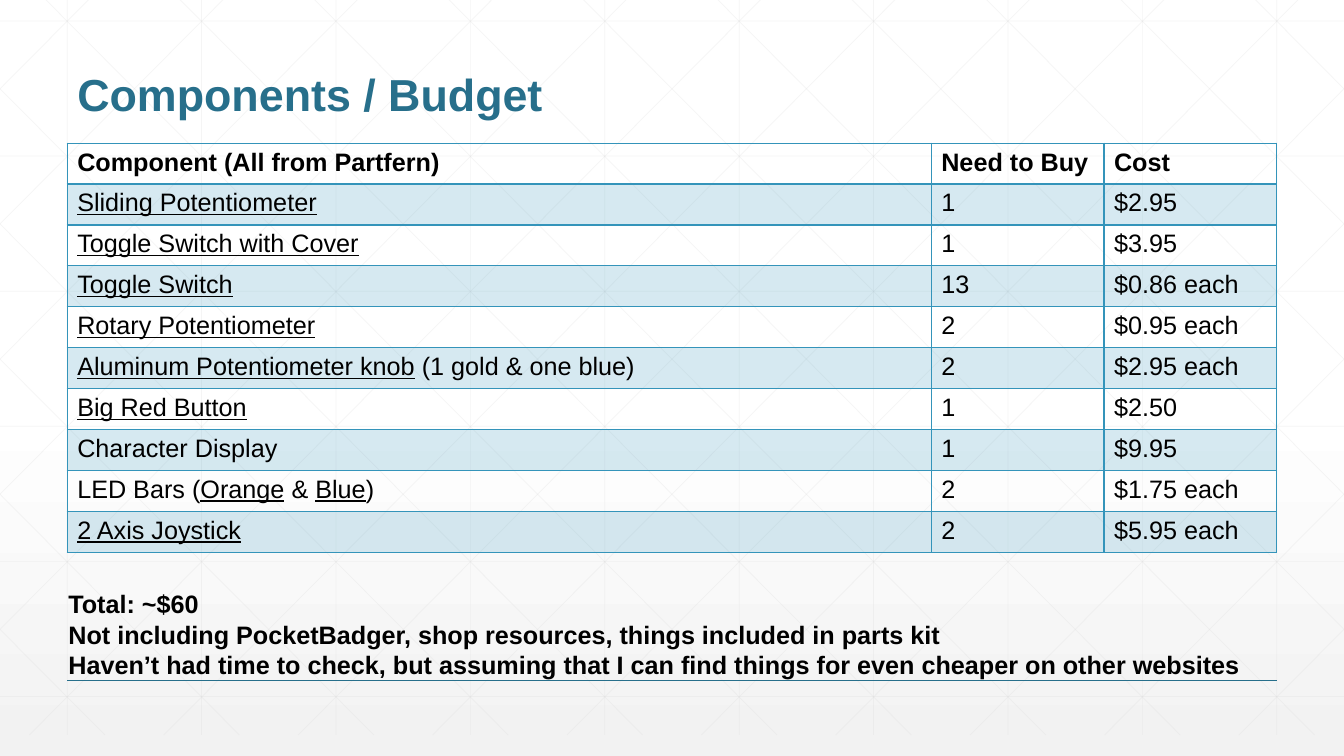
"""Build the components and budget slide."""
from copy import deepcopy

from lxml.etree import SubElement
from pptx import Presentation
from pptx.dml.color import RGBColor
from pptx.enum.shapes import MSO_CONNECTOR
from pptx.enum.text import MSO_ANCHOR, MSO_AUTO_SIZE, PP_ALIGN
from pptx.oxml.ns import qn
from pptx.util import Pt

HEADING = "Components / Budget"
HEADER = ("Component (All from Partfern)", "Need to Buy", "Cost")
# Underscores enclose underlined words.
COMPONENTS = [
    ("_Sliding Potentiometer_", "1", "$2.95"),
    ("_Toggle Switch with Cover_", "1", "$3.95"),
    ("_Toggle Switch_", "13", "$0.86 each"),
    ("_Rotary Potentiometer_", "2", "$0.95 each"),
    ("_Aluminum Potentiometer knob_ (1 gold & one blue)", "2", "$2.95 each"),
    ("_Big Red Button_", "1", "$2.50"),
    ("Character Display", "1", "$9.95"),
    ("LED Bars (_Orange_ & _Blue_)", "2", "$1.75 each"),
    ("_2 Axis Joystick_", "2", "$5.95 each"),
]
REMARKS = [
    "Total: ~$60",
    "Not including PocketBadger, shop resources, things included in parts kit",
    "Haven’t had time to check, but assuming that I can find things "
    "for even cheaper on other websites",
]

FONT = "Arial"
BLACK = RGBColor(0x00, 0x00, 0x00)
WHITE = RGBColor(0xFF, 0xFF, 0xFF)
PALE_GRAY = RGBColor(0xF2, 0xF2, 0xF2)
GRID_GRAY = RGBColor(0xD9, 0xD9, 0xD9)
TEAL = RGBColor(0x27, 0x6F, 0x8B)
BLUE = RGBColor(0x34, 0x94, 0xBA)

WIDTH, HEIGHT = 960, 540
MARGIN = 48
CONTENT_WIDTH = WIDTH - 2 * MARGIN
GRID_TOP, GRID_BOTTOM = -15, 525
GRID_STEP, GRID_ROW_STEP = 96, 96.5
DIAGONAL_START, DIAGONAL_RUN = 18, 537
COLUMN_WIDTHS = (617.2, 123.4, 123.4)
ROW_HEIGHT = 29.25


def set_alpha(properties, percent):
    for color in properties.iter(qn("a:srgbClr")):
        SubElement(color, qn("a:alpha"), val=str(percent * 1000))


def add_line(shapes, start, end, color, weight):
    line = shapes.add_connector(MSO_CONNECTOR.STRAIGHT, *map(Pt, start + end))
    line.line.color.rgb = color
    line.line.width = Pt(weight)
    SubElement(line.element.spPr, qn("a:effectLst"))
    return line


def style_font(paragraph, size, color, bold):
    font = paragraph.font
    font.name, font.size, font.bold = FONT, Pt(size), bold
    font.color.rgb = color


def grid_lines():
    for column in range(10):
        x = MARGIN + column * GRID_STEP
        yield (x, GRID_TOP), (x, GRID_BOTTOM)
    for row in range(6):
        y = -GRID_TOP + row * GRID_ROW_STEP
        yield (0, y), (WIDTH, y)
    slope = (GRID_BOTTOM - GRID_TOP) / DIAGONAL_RUN
    for diagonal in range(-5, 10):
        origin = DIAGONAL_START + diagonal * GRID_STEP
        left, right = max(origin, 0), min(origin + DIAGONAL_RUN, WIDTH)
        top, bottom = (GRID_TOP + (x - origin) * slope for x in (left, right))
        yield (left, top), (right, bottom)
        yield (WIDTH - left, top), (WIDTH - right, bottom)


def paint_background(slide):
    fill = slide.background.fill
    fill.gradient()
    fill.gradient_angle = 270
    first, last = fill.gradient_stops
    first.color.rgb, last.color.rgb = WHITE, PALE_GRAY
    first.position, last.position = 0, 1
    stops = next(slide.element.iter(qn("a:gsLst")))
    middle = deepcopy(stops[0])
    middle.set("pos", "53000")
    stops.insert(1, middle)


def add_borders(cell, top_weight, bottom_weight):
    weights = {"L": 1, "R": 1, "T": top_weight, "B": bottom_weight}
    for side, weight in weights.items():
        border = SubElement(cell._tc.get_or_add_tcPr(), qn(f"a:ln{side}"), w=str(Pt(weight)))
        solid = SubElement(border, qn("a:solidFill"))
        SubElement(solid, qn("a:srgbClr"), val=str(BLUE))


def fill_cell(cell, text, row):
    paragraph = cell.text_frame.paragraphs[0]
    style_font(paragraph, 18, BLACK, row == 0)
    for position, words in enumerate(text.split("_")):
        if words:
            run = paragraph.add_run()
            run.text = words
            if position % 2:
                run.font.underline = True
    add_borders(cell, 2 if row == 1 else 1, 2 if row == 0 else 1)
    if row % 2:
        cell.fill.solid()
        cell.fill.fore_color.rgb = BLUE
        set_alpha(cell._tc.tcPr.find(qn("a:solidFill")), 20)
    else:
        cell.fill.background()


def add_budget(slide):
    rows = [HEADER, *COMPONENTS]
    budget = slide.shapes.add_table(
        len(rows), len(HEADER), Pt(MARGIN), Pt(102.25),
        Pt(CONTENT_WIDTH), Pt(ROW_HEIGHT * len(rows))).table
    budget.horz_banding = False
    for column, width in zip(budget.columns, COLUMN_WIDTHS):
        column.width = Pt(width)
    for row, texts in enumerate(rows):
        budget.rows[row].height = Pt(ROW_HEIGHT)
        for column, text in enumerate(texts):
            fill_cell(budget.cell(row, column), text, row)


def add_heading(slide):
    heading = slide.shapes.title
    heading.left, heading.top = Pt(MARGIN), Pt(18)
    heading.width, heading.height = Pt(CONTENT_WIDTH), Pt(72)
    frame = heading.text_frame
    frame.text = HEADING
    frame.vertical_anchor = MSO_ANCHOR.BOTTOM
    frame.auto_size = MSO_AUTO_SIZE.NONE
    paragraph = frame.paragraphs[0]
    paragraph.alignment = PP_ALIGN.LEFT
    paragraph.line_spacing = 0.9
    style_font(paragraph, 32, TEAL, True)
    slide.shapes.element.append(heading.element)


def add_remarks(slide):
    frame = slide.shapes.add_textbox(Pt(41.75), Pt(417), Pt(876), Pt(72.75)).text_frame
    frame.word_wrap = True
    frame.text = "\n".join(REMARKS)
    for paragraph in frame.paragraphs:
        style_font(paragraph, 18, BLACK, True)


def main():
    deck = Presentation()
    deck.slide_width, deck.slide_height = Pt(WIDTH), Pt(HEIGHT)
    slide = deck.slides.add_slide(deck.slide_layouts[5])
    paint_background(slide)
    grid = slide.shapes.add_group_shape()
    for start, end in grid_lines():
        set_alpha(add_line(grid.shapes, start, end, GRID_GRAY, 0.5).element.spPr, 25)
    add_line(slide.shapes, (MARGIN, 486), (WIDTH - MARGIN, 486), TEAL, 1)
    add_heading(slide)
    add_budget(slide)
    add_remarks(slide)
    deck.save("out.pptx")


if __name__ == "__main__":
    main()
